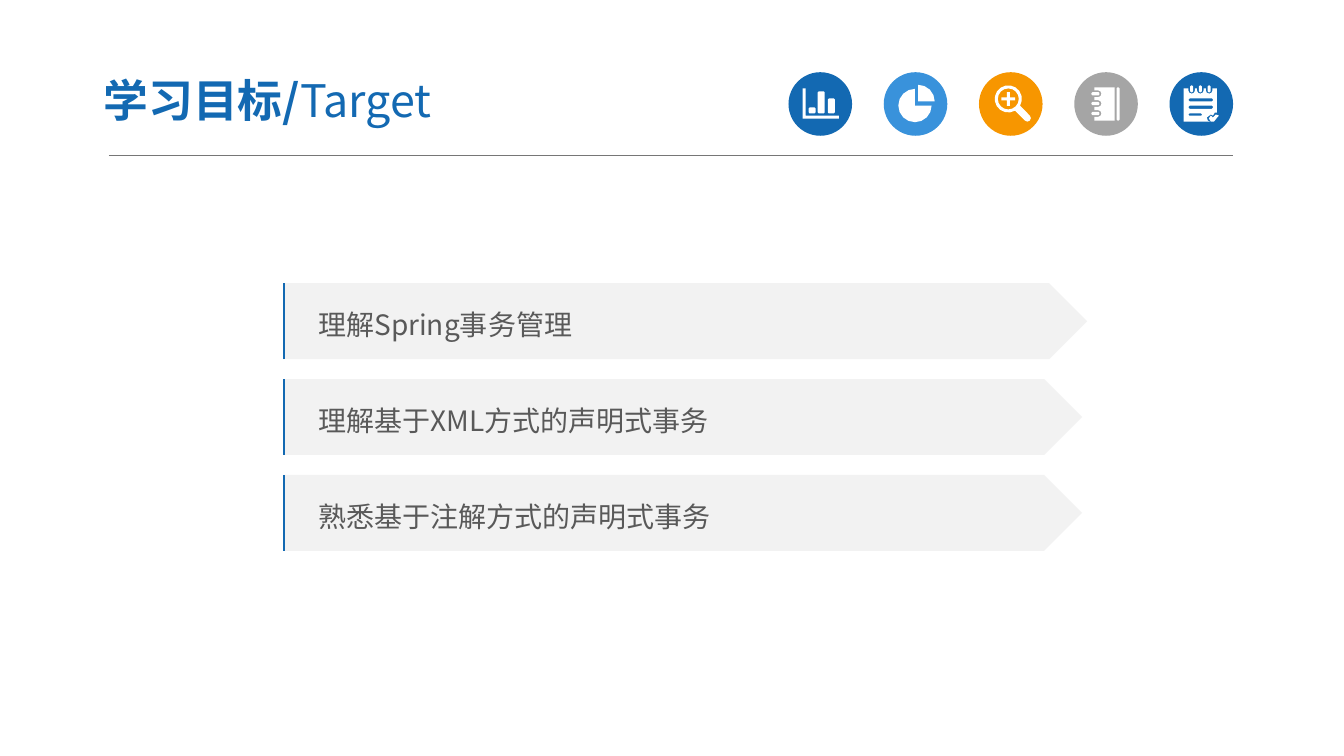
import math

import pptx
import pptx.dml.color
import pptx.enum.shapes
import pptx.enum.text
import pptx.oxml.ns
import pptx.util
from lxml import etree

Pt = pptx.util.Pt
MSO_SHAPE = pptx.enum.shapes.MSO_SHAPE
FONT = "Noto Sans CJK SC"
COLORS = {
    "blue": "1369B2",
    "sky": "3992DB",
    "orange": "F79600",
    "silver": "A5A5A5",
    "white": "FFFFFF",
    "plate": "F2F2F2",
    "text": "595959",
    "rule": "767676",
}


def rgb(name):
    return pptx.dml.color.RGBColor.from_string(COLORS[name])


def paint(shape, color):
    shape.shadow.inherit = False
    shape.fill.solid()
    shape.fill.fore_color.rgb = rgb(color)
    shape.line.fill.background()


def add_run(paragraph, text, size, color, bold=False):
    run = paragraph.add_run()
    run.text = text
    run.font.size = Pt(size)
    run.font.bold = bold
    run.font.color.rgb = rgb(color)
    run.font.name = FONT
    east_asian = etree.SubElement(run.font._element, pptx.oxml.ns.qn("a:ea"))
    east_asian.set("typeface", FONT)


def arc(cx, cy, r, start, end):
    steps = math.ceil(abs(end - start) / (45 if r < 3 else 22.5))
    angles = [math.radians(start + (end - start) * i / steps) for i in range(steps + 1)]
    return [(cx + r * math.cos(a), cy + r * math.sin(a)) for a in angles]


def rounded(x, y, w, h, r):
    right, bottom = x + w, y + h
    return [(x + r, y), (right - r, y), (right, y + r), (right, bottom - r),
            (right - r, bottom), (x + r, bottom), (x, bottom - r), (x, y + r)]


def bar_chart():
    axes = [(10.1, 11.5), (12.2, 11.5), (12.2, 31), (36, 31), (36, 33.1), (10.1, 33.1)]
    bars = [(14.4, 25.2), (20.9, 13.7), (28.1, 18.7)]
    return [axes] + [rounded(x, y, 5, 29.5 - y, 0.8) for x, y in bars]


def pie_chart():
    return [[(22.3, 23.8)] + arc(22.3, 23.8, 11.9, 0, 270),
            [(24.5, 20.9)] + arc(24.5, 20.9, 11.9, -90, 0)]


def magnifier():
    cx, cy, arm, half = 20.9, 19.1, 4.9, 1.1
    glass = arc(cx, cy, 9.7, 60, 390) + arc(34.5, 32.8, 2.5, -45, 135)
    quarter = [(half, -arm), (half, -half), (arm, -half)]
    plus = []
    for _ in range(4):
        plus += [(cx + x, cy + y) for x, y in quarter]
        quarter = [(-y, x) for x, y in quarter]
    return [glass, arc(cx, cy, 7.5, 0, 360), plus]


def notebook():
    rings = [29.5, 22.4, 15.4]
    page = [(14.4, 10.8), (28.8, 10.8), (28.8, 34.6), (14.4, 34.6)]
    for y in rings:
        page += [(14.4, y + 2.4)] + arc(17, y, 2.4, 90, -90) + [(14.4, y - 2.4)]
    return [page, rounded(30.2, 10.8, 2.2, 23.8, 0.8)] + [
        rounded(12.2, y - 1.2, 5.8, 2.4, 0.8) for y in rings]


def notepad():
    rings = [15.8, 22, 28.3]
    page = [(10.1, 11.5)]
    for x in rings:
        page += [(x - 2.4, 11.5)] + arc(x, 12.9, 2.4, 180, 0) + [(x + 2.4, 11.5)]
    page += [(33.8, 11.5), (33.8, 28.8), (32.4, 28.8), (31, 31), (29.5, 30.2),
             (26.6, 32.4), (27.4, 34.6), (28.8, 35.3), (10.1, 35.3)]
    tick = [(34.6, 31.7), (31.7, 35.3), (29.5, 35.3), (28.1, 33), (29.5, 31),
            (31, 32.4), (33.1, 30.2), (35.3, 31)]
    lines = [(18.7, 17.3, 2.2), (23.8, 17.3, 2.4), (29.5, 9.4, 1.6)]
    return [page, tick] + [rounded(13.7, y, w, h, h / 3) for y, w, h in lines] + [
        rounded(x - 1.1, 9.4, 2.2, 5, 0.8) for x in rings]


def add_outline(slide, left, top, contours, close=True):
    outlines = [[(Pt(x), Pt(y)) for x, y in contour] for contour in contours]
    builder = slide.shapes.build_freeform(*outlines[0][0], scale=1.0)
    builder.add_line_segments(outlines[0][1:], close=close)
    for outline in outlines[1:]:
        builder.move_to(*outline[0])
        builder.add_line_segments(outline[1:], close=close)
    return builder.convert_to_shape(Pt(left), Pt(top))


def add_badge(slide, left, top, size, color, contours):
    disc = slide.shapes.add_shape(MSO_SHAPE.OVAL, Pt(left), Pt(top), Pt(size), Pt(size))
    paint(disc, color)
    paint(add_outline(slide, left, top, contours), "white")


def add_header(slide, left, top, width):
    badge, pitch = 45.4, 68.04
    right = left + width
    rule = slide.shapes.add_connector(
        pptx.enum.shapes.MSO_CONNECTOR.STRAIGHT,
        Pt(left), Pt(top + 59.5), Pt(right), Pt(top + 59.5))
    rule.line.color.rgb = rgb("rule")
    rule.line.width = Pt(0.5)
    etree.SubElement(rule._element.spPr, pptx.oxml.ns.qn("a:effectLst"))

    badges = [("blue", bar_chart), ("sky", pie_chart), ("orange", magnifier),
              ("silver", notebook), ("blue", notepad)]
    first = right - badge - pitch * (len(badges) - 1)
    for i, (color, symbol) in enumerate(badges):
        add_badge(slide, first + i * pitch, top, badge, color, symbol())

    heading = slide.shapes.add_textbox(Pt(left - 13.2), Pt(top - 6.5), Pt(376), Pt(52))
    frame = heading.text_frame
    frame.word_wrap = True
    frame.vertical_anchor = pptx.enum.text.MSO_ANCHOR.MIDDLE
    frame.margin_left = frame.margin_right = Pt(9.4)
    frame.margin_top = frame.margin_bottom = Pt(5)
    add_run(frame.paragraphs[0], "学习目标/", 32, "blue", bold=True)
    add_run(frame.paragraphs[0], "Target", 32, "blue")


def add_goals(slide, left, top, goals):
    height, pitch = 54.2, 68.5
    for i, (goal, width) in enumerate(goals):
        y = top + i * pitch
        plate = slide.shapes.add_shape(
            MSO_SHAPE.PENTAGON, Pt(left), Pt(y), Pt(width), Pt(height))
        paint(plate, "plate")
        frame = plate.text_frame
        frame.word_wrap = True
        frame.vertical_anchor = pptx.enum.text.MSO_ANCHOR.MIDDLE
        frame.margin_left = Pt(25)
        line = frame.paragraphs[0]
        line.alignment = pptx.enum.text.PP_ALIGN.LEFT
        line.line_spacing = 1.2
        add_run(line, goal, 20, "text")
        edge = add_outline(slide, left + 0.7, y, [[(0, height), (0, 0)]], close=False)
        edge.shadow.inherit = False
        edge.fill.background()
        edge.line.color.rgb = rgb("blue")
        edge.line.width = Pt(1.5)


def main():
    deck = pptx.Presentation()
    deck.slide_width, deck.slide_height = Pt(960), Pt(540)
    slide = deck.slides.add_slide(deck.slide_layouts[6])
    add_header(slide, 77.8, 51.6, 803)
    add_goals(slide, 202.3, 202.3, [
        ("理解Spring事务管理", 574.2),
        ("理解基于XML方式的声明式事务", 570.6),
        ("熟悉基于注解方式的声明式事务", 570.6),
    ])
    deck.save("out.pptx")


if __name__ == "__main__":
    main()
